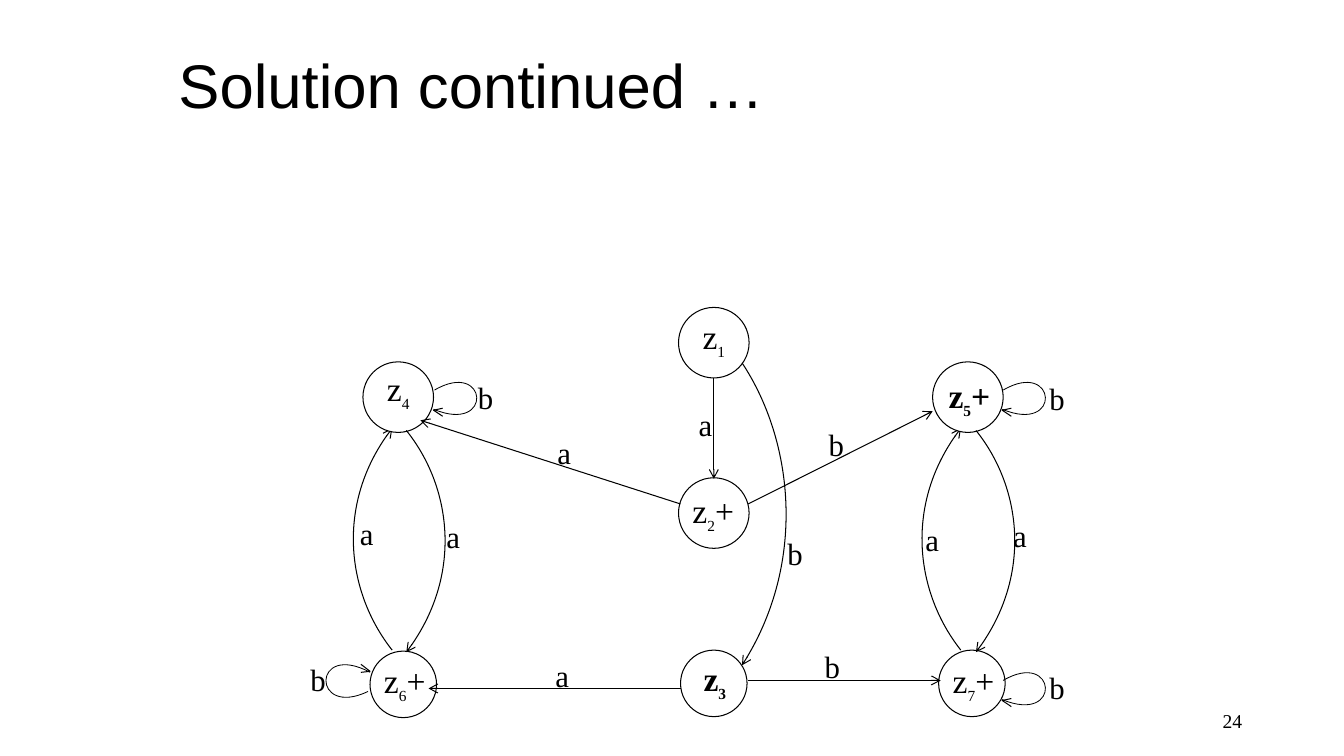
"""Draw the state diagram slide with seven states and their transitions."""
from typing import NamedTuple

from lxml.etree import SubElement
from pptx import Presentation
from pptx.dml.color import RGBColor
from pptx.enum.shapes import MSO_CONNECTOR, MSO_SHAPE
from pptx.enum.text import MSO_ANCHOR, PP_ALIGN
from pptx.oxml.ns import qn
from pptx.util import Emu, Pt

PX = 9144
BLACK = RGBColor(0, 0, 0)
WHITE = RGBColor(255, 255, 255)
SERIF = "Times New Roman"
THIN = 0.75

Point = tuple[int, int]


class State(NamedTuple):
    """A circle and its name, whose digit is a subscript."""
    name: str
    x: int
    y: int
    size: int
    text: Point
    bold: bool = False


class Label(NamedTuple):
    """The letter of a transition."""
    text: str
    x: int
    y: int


class Loop(NamedTuple):
    """A transition to the same state, with its open arrowhead."""
    curve: list[Point]
    head: list[Point]


STATES = [
    State("z7+", 931, 645, 66, (935, 650)),
    State("z5+", 925, 359, 70, (931, 367), True),
    State("z6+", 367, 646, 66, (371, 650)),
    State("z4", 360, 359, 70, (374, 360)),
    State("z3", 675, 645, 66, (688, 648), True),
    State("z1", 673, 305, 70, (687, 308)),
    State("z2+", 673, 474, 70, (677, 481)),
]
LABELS = [
    Label("a", 433, 509), Label("b", 464, 371), Label("a", 347, 506),
    Label("b", 298, 651), Label("a", 908, 512), Label("b", 1031, 658),
    Label("a", 995, 508), Label("b", 1031, 372), Label("a", 683, 398),
    Label("b", 771, 526), Label("a", 543, 425), Label("b", 812, 417),
    Label("a", 541, 647), Label("b", 808, 638),
]
RISE = [(389, 645), (344, 588), (333, 497), (389, 425)]
FALL = [(403, 427), (448, 483), (459, 574), (403, 647)]
BEND = [(736, 360), (787, 437), (800, 561), (736, 660)]
RIGHT = Loop([(431, 387), (484, 356), (490, 431), (430, 406)],
             [(439, 413), (430, 407), (439, 405)])
LEFT = Loop([(365, 686), (309, 713), (309, 636), (367, 667)],
            [(358, 659), (367, 666), (358, 667)])
ARROWS = [
    ((708, 375), (708, 475)), ((675, 500), (417, 417)),
    ((742, 500), (925, 408)), ((675, 683), (425, 683)),
    ((742, 675), (933, 675)),
]
SIDE = 564
DROP = 288


def move(points: list[Point], dx: int = 0, dy: int = 0) -> list[Point]:
    """Shift points."""
    return [(x + dx, y + dy) for x, y in points]


def write(frame, text: str, *, size: int, font: str = SERIF, bold: bool = False,
          sub: bool = False, align=PP_ALIGN.LEFT, anchor=MSO_ANCHOR.TOP,
          space: float = 1.0) -> None:
    """Fill a text frame, with digits as subscripts on request."""
    frame.word_wrap = True
    frame.vertical_anchor = anchor
    para = frame.paragraphs[0]
    para.alignment = align
    para.line_spacing = space
    for part in text if sub else [text]:
        run = para.add_run()
        run.text = part
        low = sub and part.isdigit()
        run.font.size = Pt(19 if low else size)
        run.font.name = font
        run.font.bold = bold
        run.font.color.rgb = BLACK
        if low:
            run._r.get_or_add_rPr().set("baseline", "-30000")


def add_box(shapes, x: int, y: int, w: int, h: int):
    """Add a text box and return its frame."""
    return shapes.add_textbox(x * PX, y * PX, w * PX, h * PX).text_frame


def ink(shape, width: float = THIN, arrow: bool = False) -> None:
    """Give a shape a black line and maybe an arrowhead."""
    shape.line.color.rgb = BLACK
    shape.line.width = Pt(width)
    if arrow:
        SubElement(shape.line._get_or_add_ln(), qn("a:tailEnd"), type="arrow")


def add_path(shapes, points: list[Point], curve: bool = False,
             width: float = THIN, arrow: bool = False) -> None:
    """Add an open outline, straight or as one cubic curve."""
    pen = shapes.build_freeform(*points[0], scale=PX)
    pen.add_line_segments(points[1:], close=False)
    shape = pen.convert_to_shape()
    shape.shadow.inherit = False
    shape.fill.background()
    ink(shape, width, arrow)
    if curve:
        path = next(shape._element.iter(qn("a:path")))
        steps = path.findall(qn("a:lnTo"))
        cubic = SubElement(path, qn("a:cubicBezTo"))
        for step in steps:
            cubic.append(step[0])
            path.remove(step)


def add_state(shapes, state: State) -> None:
    """Add the circle and name of a state."""
    x, y, size = state.x * PX, state.y * PX, state.size * PX
    disc = shapes.add_shape(MSO_SHAPE.OVAL, x, y, size, size)
    disc.shadow.inherit = False
    disc.fill.solid()
    disc.fill.fore_color.rgb = WHITE
    ink(disc)
    write(add_box(shapes, *state.text, 80, 45), state.name,
          size=24, bold=state.bold, sub=True)


def add_loop(shapes, loop: Loop, dx: int = 0, dy: int = 0) -> None:
    """Add a loop and its arrowhead."""
    add_path(shapes, move(loop.curve, dx, dy), curve=True, width=0.6)
    add_path(shapes, move(loop.head, dx, dy))


def add_arrow(shapes, start: Point, end: Point) -> None:
    """Add a straight transition."""
    ends = [n * PX for n in (*start, *end)]
    line = shapes.add_connector(MSO_CONNECTOR.STRAIGHT, *ends)
    ink(line, arrow=True)
    SubElement(line._element.spPr, qn("a:effectLst"))


def main() -> None:
    """Build and save the slide."""
    deck = Presentation()
    deck.slide_width, deck.slide_height = Emu(1333 * PX), Emu(750 * PX)
    slide = deck.slides.add_slide(deck.slide_layouts[5])
    shapes = slide.shapes
    title = shapes.title
    title.left, title.top = Emu(167 * PX), Emu(25 * PX)
    title.width, title.height = Emu(850 * PX), Emu(125 * PX)
    write(title.text_frame, "Solution continued …", size=44, font="Arial",
          anchor=MSO_ANCHOR.MIDDLE, space=0.9)
    write(add_box(shapes, 942, 695, 300, 40), "24", size=14,
          align=PP_ALIGN.RIGHT, anchor=MSO_ANCHOR.MIDDLE)
    for dx in (0, SIDE):
        add_path(shapes, move(RISE, dx), curve=True, arrow=True)
    for state in STATES:
        add_state(shapes, state)
    for curve in (FALL, move(FALL, SIDE + 1), BEND):
        add_path(shapes, curve, curve=True, arrow=True)
    for dx, dy in ((0, 0), (SIDE, 0), (SIDE, DROP)):
        add_loop(shapes, RIGHT, dx, dy)
    add_loop(shapes, LEFT)
    for start, end in ARROWS:
        add_arrow(shapes, start, end)
    for label in LABELS:
        write(add_box(shapes, label.x, label.y, 101, 41), label.text, size=22)
    deck.save("out.pptx")


if __name__ == "__main__":
    main()
